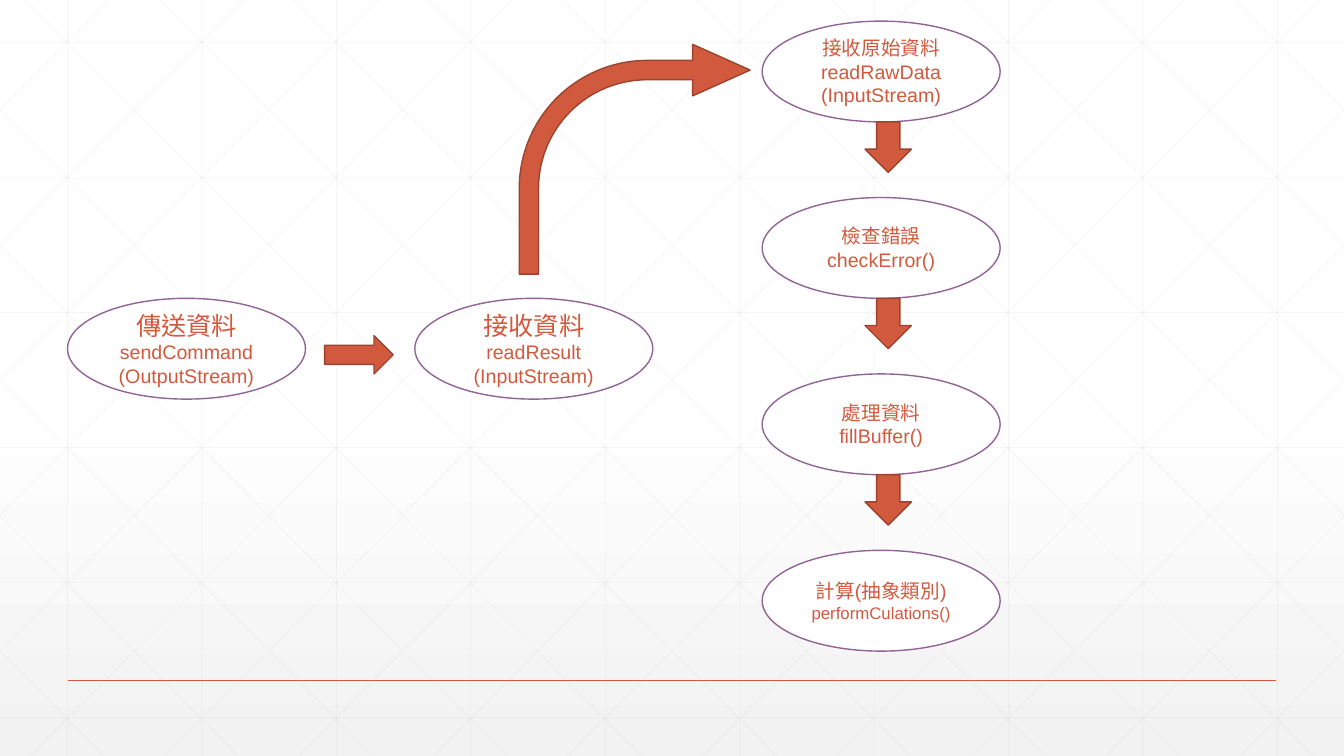
import pptx
import pptx.dml.color
import pptx.enum.lang
import pptx.enum.shapes
import pptx.enum.text
import pptx.oxml.ns
import pptx.oxml.xmlchemy
import pptx.util
from lxml import etree

WIDTH, HEIGHT = 13.33, 7.5
RED, DARK_RED, PURPLE = "D15A3E", "9B432E", "926397"
WHITE, PALE, GRID = "FFFFFF", "F2F2F2", "D9D9D9"

# Flow chart grid: left edge of a column, top edge of a row
LEFT, COLUMN_STEP = 0.67, 3.445
TOP, ROW_STEP = 0.21, 1.75
STEP_WIDTH, STEP_HEIGHT = 2.36, 1
MIDDLE_TOP = 2.96

# Background grid
CELL = 4 / 3
DIAGONAL_START, DIAGONAL_RUN = 0.25, 7.45

SHAPES = pptx.enum.shapes.MSO_SHAPE
qn = pptx.oxml.ns.qn
inches = pptx.util.Inches


def color(value):
    return pptx.dml.color.RGBColor.from_string(value)


def paint_background(slide, stops):
    """Vertical gradient; each stop is position, colour and opacity in percent."""
    slide.background.fill.gradient()
    gradient = slide.element.find(".//" + qn("a:gradFill"))
    stop_list = gradient.find(qn("a:gsLst"))
    for stop in list(stop_list):
        stop_list.remove(stop)
    for position, value, opacity in stops:
        stop = etree.SubElement(stop_list, qn("a:gs"), pos=str(position * 1000))
        stop_color = etree.SubElement(stop, qn("a:srgbClr"), val=value)
        if opacity < 100:
            etree.SubElement(stop_color, qn("a:alpha"), val=str(opacity * 1000))
    gradient.find(qn("a:lin")).set("ang", "5400000")


def add_line(slide, start, end, value, width, opacity=100):
    points = [inches(length) for length in (*start, *end)]
    line = slide.shapes.add_connector(
        pptx.enum.shapes.MSO_CONNECTOR.STRAIGHT, *points)
    line.line.color.rgb = color(value)
    line.line.width = pptx.util.Pt(width)
    properties = line.element.spPr
    if opacity < 100:
        line_color = properties.find(".//" + qn("a:srgbClr"))
        etree.SubElement(line_color, qn("a:alpha"), val=str(opacity * 1000))
    etree.SubElement(properties, qn("a:effectLst"))


def add_grid(slide):
    def grid_line(start, end):
        add_line(slide, start, end, GRID, 0.5, 25)

    for index in range(10):
        x = LEFT + index * CELL
        grid_line((x, 0), (x, HEIGHT))
    for index in range(6):
        y = 0.42 + index * 1.34
        grid_line((0, y), (WIDTH, y))

    # Diagonals are cut at the slide edges and mirrored left to right
    slope = HEIGHT / DIAGONAL_RUN
    for index in range(-5, 10):
        x = DIAGONAL_START + index * CELL
        x1, x2 = max(x, 0), min(x + DIAGONAL_RUN, WIDTH)
        y1, y2 = (x1 - x) * slope, (x2 - x) * slope
        grid_line((x1, y1), (x2, y2))
        grid_line((WIDTH - x1, y1), (WIDTH - x2, y2))


def add_figure(slide, kind, box, fill, outline):
    shape = slide.shapes.add_shape(kind, *[inches(length) for length in box])
    shape.shadow.inherit = False
    shape.fill.solid()
    shape.fill.fore_color.rgb = color(fill)
    shape.line.color.rgb = color(outline)
    shape.line.width = pptx.util.Pt(1)
    return shape


def add_arrow(slide, kind, box, adjustments=()):
    arrow = add_figure(slide, kind, box, RED, DARK_RED)
    for index, value in enumerate(adjustments):
        arrow.adjustments[index] = value


def add_step(slide, column, top, lines):
    """Ellipse with centred lines of text, each given with its size."""
    box = (LEFT + column * COLUMN_STEP, top, STEP_WIDTH, STEP_HEIGHT)
    shape = add_figure(slide, SHAPES.OVAL, box, WHITE, PURPLE)
    frame = shape.text_frame
    frame.word_wrap = True
    frame.vertical_anchor = pptx.enum.text.MSO_ANCHOR.MIDDLE
    for index, (text, size) in enumerate(lines):
        paragraph = frame.add_paragraph() if index else frame.paragraphs[0]
        paragraph.alignment = pptx.enum.text.PP_ALIGN.CENTER
        run = paragraph.add_run()
        run.text = text
        run.font.name = "Arial"
        run.font.size = pptx.util.Pt(size)
        run.font.color.rgb = color(RED)
        run.font.language_id = pptx.enum.lang.MSO_LANGUAGE_ID.TRADITIONAL_CHINESE


def main():
    presentation = pptx.Presentation()
    presentation.slide_width = inches(WIDTH)
    presentation.slide_height = inches(HEIGHT)
    slide = presentation.slides.add_slide(presentation.slide_layouts[6])

    # Backdrop and footer rule
    paint_background(slide, [(0, WHITE, 100), (53, WHITE, 100), (100, PALE, 65)])
    add_grid(slide)
    add_line(slide, (LEFT, 6.75), (WIDTH - LEFT, 6.75), RED, 1)

    # Sending and receiving, left to right
    add_step(slide, 0, MIDDLE_TOP,
             [("傳送資料", 18), ("sendCommand", 14), ("(OutputStream)", 14)])
    add_step(slide, 1, MIDDLE_TOP,
             [("接收資料", 18), ("readResult", 14), ("(InputStream)", 14)])
    add_arrow(slide, SHAPES.RIGHT_ARROW, (3.22, 3.33, 0.68, 0.38))
    add_arrow(slide, SHAPES.BENT_ARROW, (5.15, 0.44, 2.29, 2.28),
              (0.084, 0.112, 0.25, 0.557))

    # Handling of the result, top to bottom
    handling = [
        [("接收原始資料", 14), ("readRawData", 14), ("(InputStream)", 14)],
        [("檢查錯誤", 14), ("checkError()", 14)],
        [("處理資料", 14), ("fillBuffer()", 14)],
        [("計算(抽象類別)", 14), ("performCulations()", 12)],
    ]
    for row, lines in enumerate(handling):
        top = TOP + row * ROW_STEP
        add_step(slide, 2, top, lines)
        if row < len(handling) - 1:
            add_arrow(slide, SHAPES.DOWN_ARROW,
                      (8.58, top + STEP_HEIGHT, 0.46, 0.5))

    presentation.save("out.pptx")


if __name__ == "__main__":
    main()
